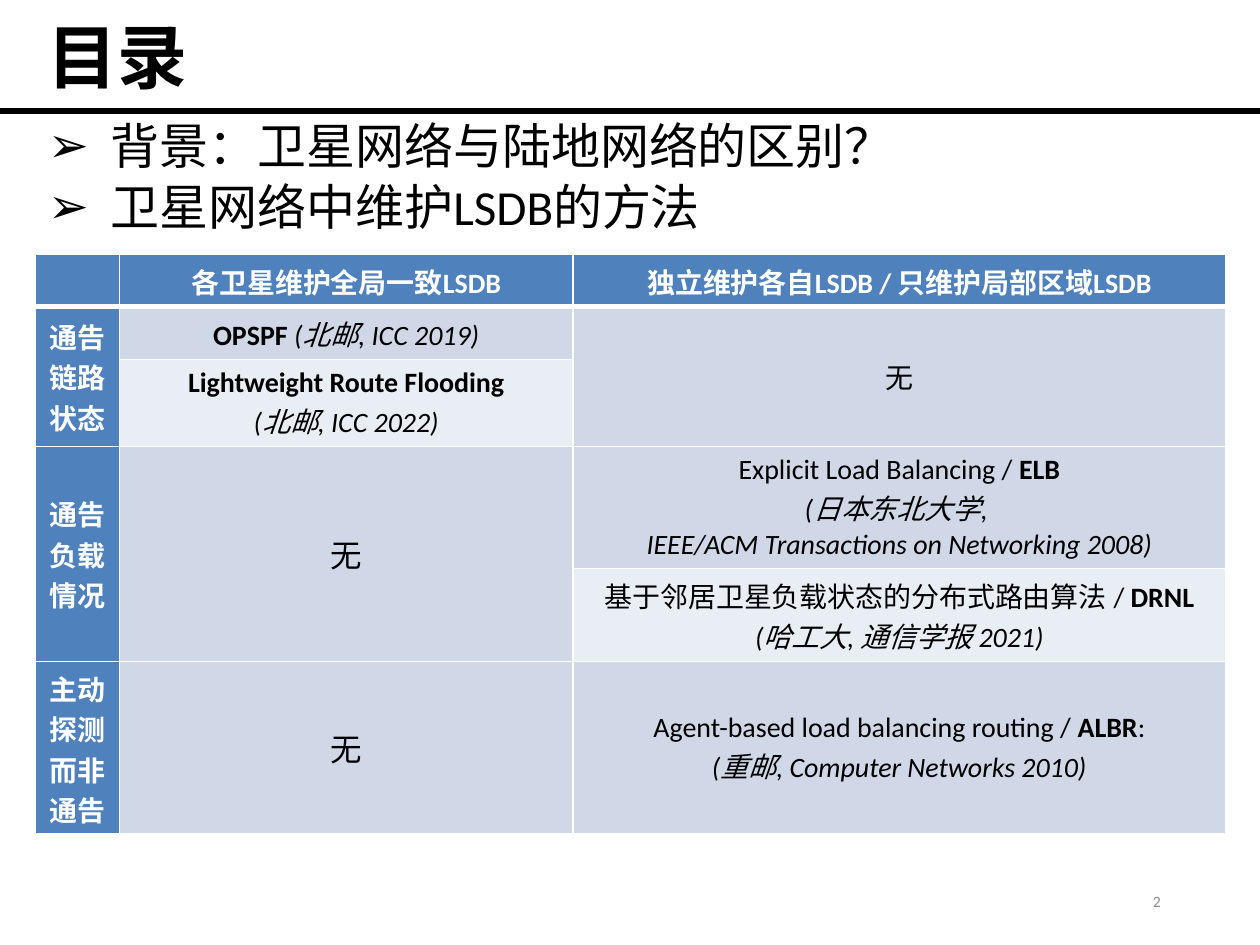
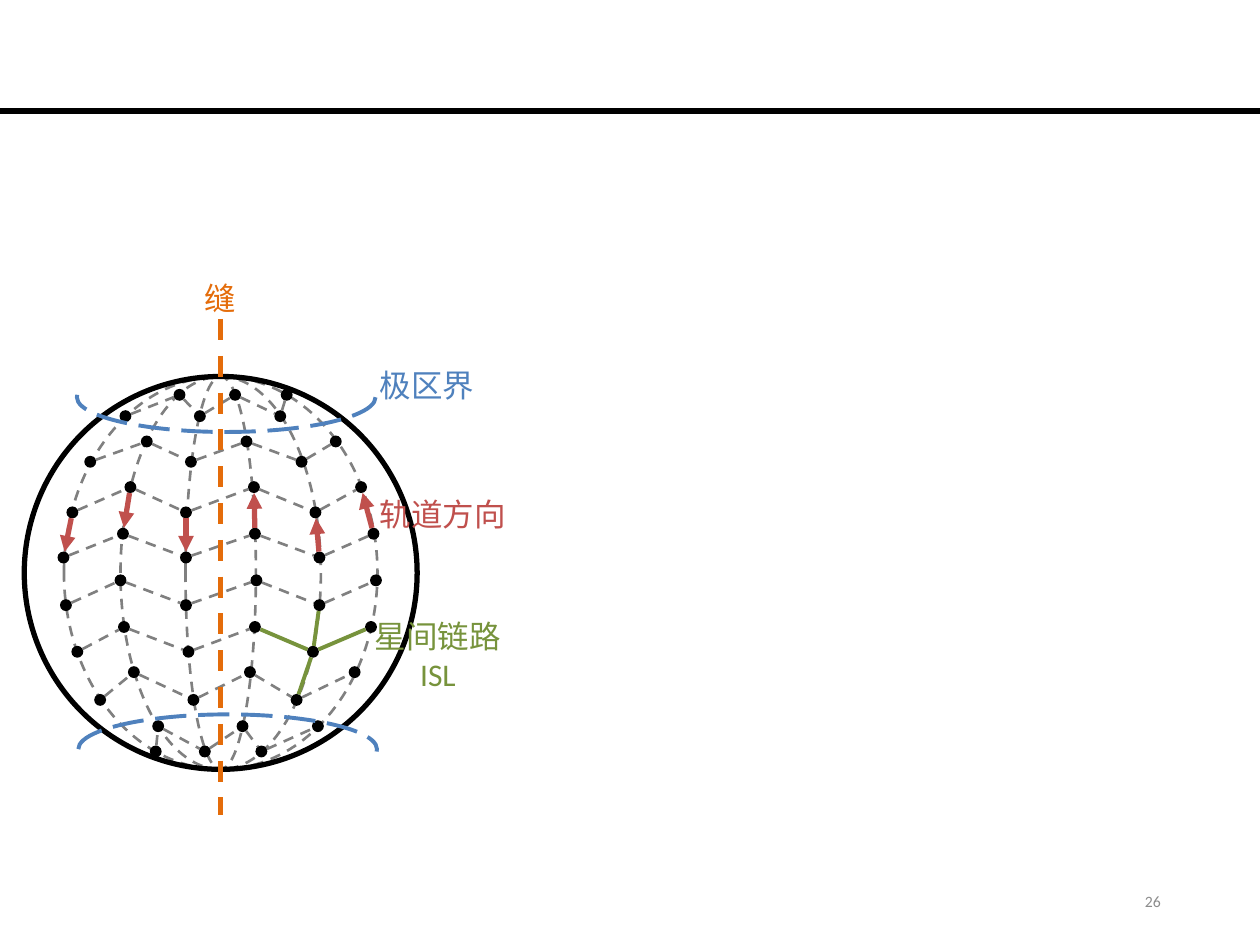
from math import hypot

from lxml import etree
from pptx import Presentation
from pptx.dml.color import RGBColor
from pptx.enum.dml import MSO_LINE
from pptx.enum.shapes import MSO_CONNECTOR, MSO_SHAPE
from pptx.enum.text import MSO_ANCHOR, MSO_AUTO_SIZE, PP_ALIGN
from pptx.oxml.ns import qn
from pptx.util import Cm, Pt

OVAL, ARC = MSO_SHAPE.OVAL, MSO_SHAPE.ARC
STRAIGHT = MSO_CONNECTOR.STRAIGHT
DASH, LONG_DASH = MSO_LINE.DASH, MSO_LINE.LONG_DASH
LEFT, CENTER, RIGHT = PP_ALIGN.LEFT, PP_ALIGN.CENTER, PP_ALIGN.RIGHT
MIDDLE = MSO_ANCHOR.MIDDLE
FONT = "Calibri"
COLORS = {
    "black": "000000", "white": "FFFFFF", "gray": "808080", "number": "8C8C8C",
    "blue": "4F81BD", "band_dark": "D0D8E8", "band_light": "E9EDF4",
    "red": "C0504D", "orange": "E46C0A", "green": "77933C",
}
RGB = {name: RGBColor.from_string(value) for name, value in COLORS.items()}


def format_run(r, size, color="black", bold=False, italic=False):
    r.font.name, r.font.size = FONT, Pt(size)
    r.font.color.rgb = RGB[color]
    r.font.bold, r.font.italic = bold, italic


def add_line(s, start, end, color, width, dash=None, gap=0, arrow=False):
    """Straight line in cm, shortened by gap at both ends."""
    (x1, y1), (x2, y2) = start, end
    length = hypot(x2 - x1, y2 - y1)
    dx, dy = (x2 - x1) * gap / length, (y2 - y1) * gap / length
    c = s.shapes.add_connector(STRAIGHT, Cm(x1 + dx), Cm(y1 + dy),
                               Cm(x2 - dx), Cm(y2 - dy))
    c.line.color.rgb, c.line.width = RGB[color], Pt(width)
    if dash:
        c.line.dash_style = dash
    if arrow:
        etree.SubElement(c.line._get_or_add_ln(), qn("a:tailEnd"), type="triangle")
    etree.SubElement(c._element.spPr, qn("a:effectLst"))


prs = Presentation()
prs.slide_width, prs.slide_height = Cm(25.4), Cm(19.05)
outline = prs.slides.add_slide(prs.slide_layouts[1])
orbits = prs.slides.add_slide(prs.slide_layouts[6])

# Shared rule and slide number
for s, number in ((outline, "2"), (orbits, "26")):
    add_line(s, (0, 2.24), (25.4, 2.24), "black", 3)
    tf = s.shapes.add_textbox(Cm(17.93), Cm(17.65), Cm(5.72), Cm(1.02)).text_frame
    tf.word_wrap, tf.vertical_anchor = True, MIDDLE
    tf.text = number
    p = tf.paragraphs[0]
    p.alignment = RIGHT
    format_run(p.runs[0], 9, "number")

# Slide 1: title
title = outline.shapes.title
title.left, title.top, title.width, title.height = Cm(0.71), Cm(0), Cm(20.07), Cm(2.44)
tf = title.text_frame
tf.text = "目录"
tf.vertical_anchor, tf.auto_size = MIDDLE, MSO_AUTO_SIZE.NONE
p = tf.paragraphs[0]
p.alignment, p.line_spacing = LEFT, 0.9
format_run(p.runs[0], 40, bold=True)

# Slide 1: list
body = outline.placeholders[1]
body.left, body.top, body.width, body.height = Cm(0.71), Cm(2.34), Cm(24), Cm(16.33)
tf = body.text_frame
tf.text = "背景：卫星网络与陆地网络的区别？\n卫星网络中维护LSDB的方法"
tf.auto_size = MSO_AUTO_SIZE.NONE
for i, p in enumerate(tf.paragraphs):
    pPr = p._p.get_or_add_pPr()
    pPr.set("marL", str(Cm(1.27)))
    pPr.set("indent", str(-Cm(1.27)))
    etree.SubElement(pPr, qn("a:buChar"), char="➢")
    p.line_spacing = 0.9
    p.space_before = Pt(4.5 if i else 0)
    format_run(p.runs[0], 28)

# Slide 1: table; a cell is a list of paragraphs, each a list of (text, style)
ROW_HEIGHTS = [1.05, 1.07, 1.75, 2.46, 1.88, 3.47]
COL_WIDTHS = [1.7, 9.14, 13.16]
NONE_16, NONE_18 = [[("无", "")]], [[("无", "large")]]
CELLS = {
    (0, 1): [[("各卫星维护全局一致LSDB", "head")]],
    (0, 2): [[("独立维护各自LSDB / 只维护局部区域LSDB", "head")]],
    (1, 0): [[("通告", "head")], [("链路状态", "head")]],
    (1, 1): [[("OPSPF ", "bold"), ("(北邮, ICC 2019)", "italic")]],
    (1, 2): NONE_16,
    (2, 1): [[("Lightweight Route Flooding", "bold")],
             [("(北邮, ICC 2022)", "italic")]],
    (3, 0): [[("通告", "head")], [("负载情况", "head")]],
    (3, 1): NONE_18,
    (3, 2): [[("Explicit Load Balancing / ", ""), ("ELB", "bold")],
             [("(日本东北大学, ", "italic")],
             [("IEEE/ACM Transactions on Networking 2008)", "italic")]],
    (4, 2): [[("基于邻居卫星负载状态的分布式路由算法 / ", ""), ("DRNL", "bold")],
             [("(哈工大, 通信学报 2021)", "italic")]],
    (5, 0): [[("主动探测而非通告", "head")]],
    (5, 1): NONE_18,
    (5, 2): [[("Agent-based load balancing routing / ", ""), ("ALBR", "bold"), (":", "")],
             [("(重邮, Computer Networks 2010)", "italic")]],
}
table = outline.shapes.add_table(6, 3, Cm(0.71), Cm(5.13), Cm(24),
                                 Cm(sum(ROW_HEIGHTS))).table
for row, height in zip(table.rows, ROW_HEIGHTS):
    row.height = Cm(height)
for col, width in zip(table.columns, COL_WIDTHS):
    col.width = Cm(width)
for top, col in ((1, 0), (1, 2), (3, 0), (3, 1)):
    table.cell(top, col).merge(table.cell(top + 1, col))

for row in range(6):
    for col in range(3):
        cell = table.cell(row, col)
        tcPr = cell._tc.get_or_add_tcPr()
        # White borders, thicker under the header row
        for side in "LRTB":
            thick = (row, side) in ((0, "B"), (1, "T")) and col > -1
            ln = etree.SubElement(tcPr, qn(f"a:ln{side}"), w=str(Pt(3 if thick else 1)))
            fill = etree.SubElement(ln, qn("a:solidFill"))
            etree.SubElement(fill, qn("a:srgbClr"), val=COLORS["white"])
        cell.fill.solid()
        band = "band_dark" if row % 2 else "band_light"
        cell.fill.fore_color.rgb = RGB["blue" if row == 0 or col == 0 else band]
        cell.vertical_anchor = MIDDLE
        if row and col == 0:
            tcPr.set("vert", "eaVert")
        for i, parts in enumerate(CELLS.get((row, col), [])):
            tf = cell.text_frame
            p = tf.add_paragraph() if i else tf.paragraphs[0]
            p.alignment = CENTER
            for text, style in parts:
                r = p.add_run()
                r.text = text
                format_run(r, 18 if style == "large" else 16,
                           "white" if style == "head" else "black",
                           style in ("head", "bold"), style == "italic")

# Slide 2: orbit ellipses and globe
GLOBE_X, GLOBE_TOP, GLOBE_SIZE = 4.45, 7.59, 7.92
for width, color, weight, dash in ((1.42, "gray", 1.5, DASH), (4.04, "gray", 1.5, DASH),
                                   (6.32, "gray", 1.5, DASH),
                                   (GLOBE_SIZE, "black", 3, None)):
    sp = orbits.shapes.add_shape(OVAL, Cm(GLOBE_X - width / 2), Cm(GLOBE_TOP),
                                 Cm(width), Cm(GLOBE_SIZE))
    sp.shadow.inherit = False
    sp.fill.background()
    sp.line.color.rgb, sp.line.width = RGB[color], Pt(weight)
    if dash:
        sp.line.dash_style = dash

# Slide 2: satellite centres, one list per orbit, alternate orbits staggered
ORBIT_XS = [
    [2.53, 1.82, 1.46, 1.28, 1.33, 1.56, 2.02, 3.14],
    [3.62, 2.96, 2.63, 2.48, 2.43, 2.5, 2.7, 3.19],
    [4.03, 3.85, 3.75, 3.75, 3.75, 3.8, 3.9, 4.13],
    [4.74, 4.97, 5.12, 5.14, 5.17, 5.14, 5.04, 4.89],
    [5.65, 6.08, 6.36, 6.44, 6.44, 6.31, 5.98, 5.27],
    [5.78, 6.77, 7.28, 7.53, 7.58, 7.48, 7.15, 6.41],
]
LOWER_YS = [8.39, 9.31, 10.33, 11.24, 12.2, 13.14, 14.11, 15.15]
UPPER_YS = [7.96, 8.9, 9.82, 10.76, 11.7, 12.64, 13.55, 14.64]
RADIUS = 0.12
sats = [list(zip(xs, UPPER_YS if i % 2 else LOWER_YS)) for i, xs in enumerate(ORBIT_XS)]

for orbit in sats:
    for x, y in orbit:
        sp = orbits.shapes.add_shape(OVAL, Cm(x - RADIUS), Cm(y - RADIUS),
                                     Cm(2 * RADIUS), Cm(2 * RADIUS))
        sp.shadow.inherit = False
        sp.fill.solid()
        sp.fill.fore_color.rgb = RGB["black"]
        sp.line.fill.background()

# Links between neighbouring orbits
for orbit, neighbour in zip(sats, sats[1:]):
    for start, end in zip(orbit, neighbour):
        add_line(orbits, start, end, "gray", 1.5, DASH, RADIUS)

# Polar region borders
for left, top, rotation in ((3.86, 5, 90), (3.89, 12.09, 270)):
    sp = orbits.shapes.add_shape(ARC, Cm(left), Cm(top), Cm(1.4), Cm(6.02))
    sp.rotation = rotation
    sp.adjustments[0], sp.adjustments[1] = 162, 54.56
    sp.shadow.inherit = False
    sp.fill.background()
    sp.line.color.rgb, sp.line.width = RGB["blue"], Pt(2.25)
    sp.line.dash_style = LONG_DASH

# Flight direction: down on the left of the seam, up on the right
for i, orbit in enumerate(sats):
    start, end = (orbit[2], orbit[3]) if i < 3 else (orbit[3], orbit[2])
    add_line(orbits, start, end, "red", 3, gap=RADIUS, arrow=True)

# Seam and the four links of one satellite
add_line(orbits, (GLOBE_X, 6.43), (GLOBE_X, 16.43), "orange", 3, DASH)
for end in (sats[4][4], sats[3][5], sats[4][6], sats[5][5]):
    add_line(orbits, sats[4][5], end, "green", 2.25, gap=RADIUS)

# Labels
for text, color, left, top, width, height in (
        ("极区界", "blue", 7.19, 7.26, 2.84, 1.02),
        ("缝", "orange", 3.02, 5.51, 2.84, 1.02),
        ("轨道方向", "red", 7.34, 9.86, 3.18, 1.02),
        ("星间链路ISL", "green", 7.24, 12.32, 3.18, 1.8)):
    tf = orbits.shapes.add_textbox(Cm(left), Cm(top), Cm(width), Cm(height)).text_frame
    tf.word_wrap = True
    tf.text = text
    p = tf.paragraphs[0]
    p.alignment = CENTER
    format_run(p.runs[0], 18, color)

prs.save("out.pptx")
